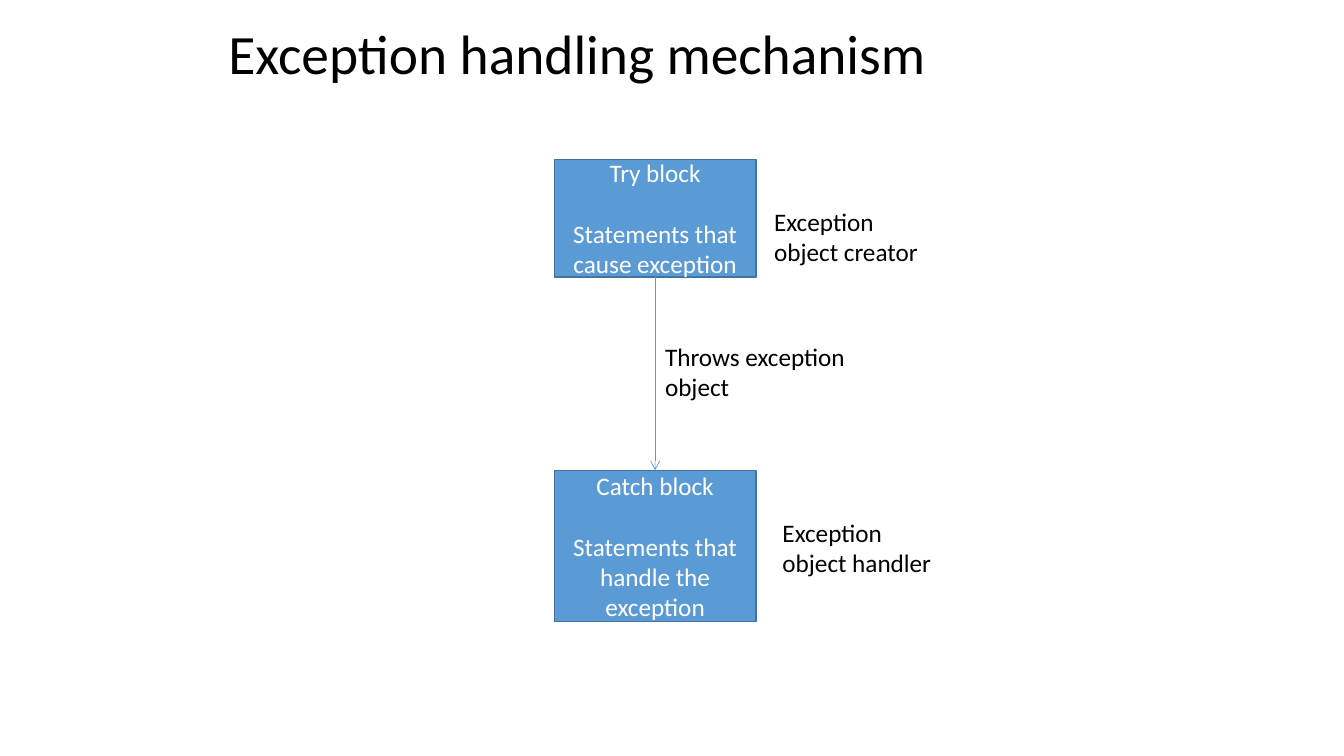
from lxml import etree
from pptx import Presentation
from pptx.dml.color import RGBColor
from pptx.enum.shapes import MSO_CONNECTOR, MSO_SHAPE
from pptx.enum.text import MSO_ANCHOR, MSO_AUTO_SIZE, PP_ALIGN
from pptx.oxml.ns import qn
from pptx.util import Cm, Pt

RECTANGLE = MSO_SHAPE.RECTANGLE
STRAIGHT = MSO_CONNECTOR.STRAIGHT
LEFT, CENTER = PP_ALIGN.LEFT, PP_ALIGN.CENTER
MIDDLE = MSO_ANCHOR.MIDDLE
NO_FIT, GROW = MSO_AUTO_SIZE.NONE, MSO_AUTO_SIZE.SHAPE_TO_FIT_TEXT
TOP_SITE, BOTTOM_SITE = 0, 2

COLORS = {
    name: RGBColor.from_string(value)
    for name, value in {
        "block": "5B9BD5", "border": "43739E", "dark": "000000", "light": "FFFFFF",
    }.items()
}


def format_paragraph(paragraph, text, size, color, **layout):
    paragraph.text = text
    for name, value in {"name": "Calibri", "size": Pt(size)}.items():
        setattr(paragraph.font, name, value)
    paragraph.font.color.rgb = COLORS[color]
    for name, value in layout.items():
        setattr(paragraph, name, value)


presentation = Presentation()
presentation.slide_width, presentation.slide_height = Cm(33.87), Cm(19.05)
slide = presentation.slides.add_slide(presentation.slide_layouts[5])

# Title
title = slide.shapes.title
title_format = {"left": Cm(5.5), "top": Cm(0.76), "width": Cm(22.86), "height": Cm(1.35)}
for name, value in title_format.items():
    setattr(title, name, value)
title.text_frame.auto_size = NO_FIT
title.text_frame.vertical_anchor = MIDDLE
format_paragraph(title.text_frame.paragraphs[0], "Exception handling mechanism",
                 39.6, "dark", alignment=LEFT, line_spacing=0.9)

# Try and catch blocks: heading, then its statements one line lower
blocks = []
for top, height, heading, statements in [
    (4.02, 2.96, "Try block", "Statements that cause exception"),
    (11.85, 3.81, "Catch block", "Statements that handle the exception"),
]:
    block = slide.shapes.add_shape(RECTANGLE, Cm(13.97), Cm(top), Cm(5.08), Cm(height))
    block.shadow.inherit = False
    block.fill.solid()
    block.fill.fore_color.rgb = COLORS["block"]
    block.line.color.rgb = COLORS["border"]
    block.line.width = Pt(1)
    frame = block.text_frame
    frame.word_wrap = True
    frame.vertical_anchor = MIDDLE
    format_paragraph(frame.paragraphs[0], heading, 18, "light", alignment=CENTER)
    format_paragraph(frame.add_paragraph(), statements, 18, "light",
                     alignment=CENTER, space_before=Pt(22))
    blocks.append(block)

# Arrow from the try block to the catch block
try_block, catch_block = blocks
arrow = slide.shapes.add_connector(STRAIGHT, 0, 0, 0, 0)
arrow.begin_connect(try_block, BOTTOM_SITE)
arrow.end_connect(catch_block, TOP_SITE)
arrow.line.color.rgb = COLORS["block"]
arrow.line.width = Pt(0.5)
etree.SubElement(arrow.line._get_or_add_ln(), qn("a:tailEnd"), type="arrow")
etree.SubElement(arrow._element.spPr, qn("a:effectLst"))

# Labels beside the arrow and the blocks
for left, top, width, text in [
    (16.51, 8.47, 5.08, "Throws exception object"),
    (19.26, 5.08, 4.65, "Exception object creator"),
    (19.47, 12.91, 4.65, "Exception object handler"),
]:
    label = slide.shapes.add_textbox(Cm(left), Cm(top), Cm(width), Cm(1.8))
    label.text_frame.word_wrap = True
    label.text_frame.auto_size = GROW
    format_paragraph(label.text_frame.paragraphs[0], text, 18, "dark", alignment=LEFT)

presentation.save("out.pptx")
